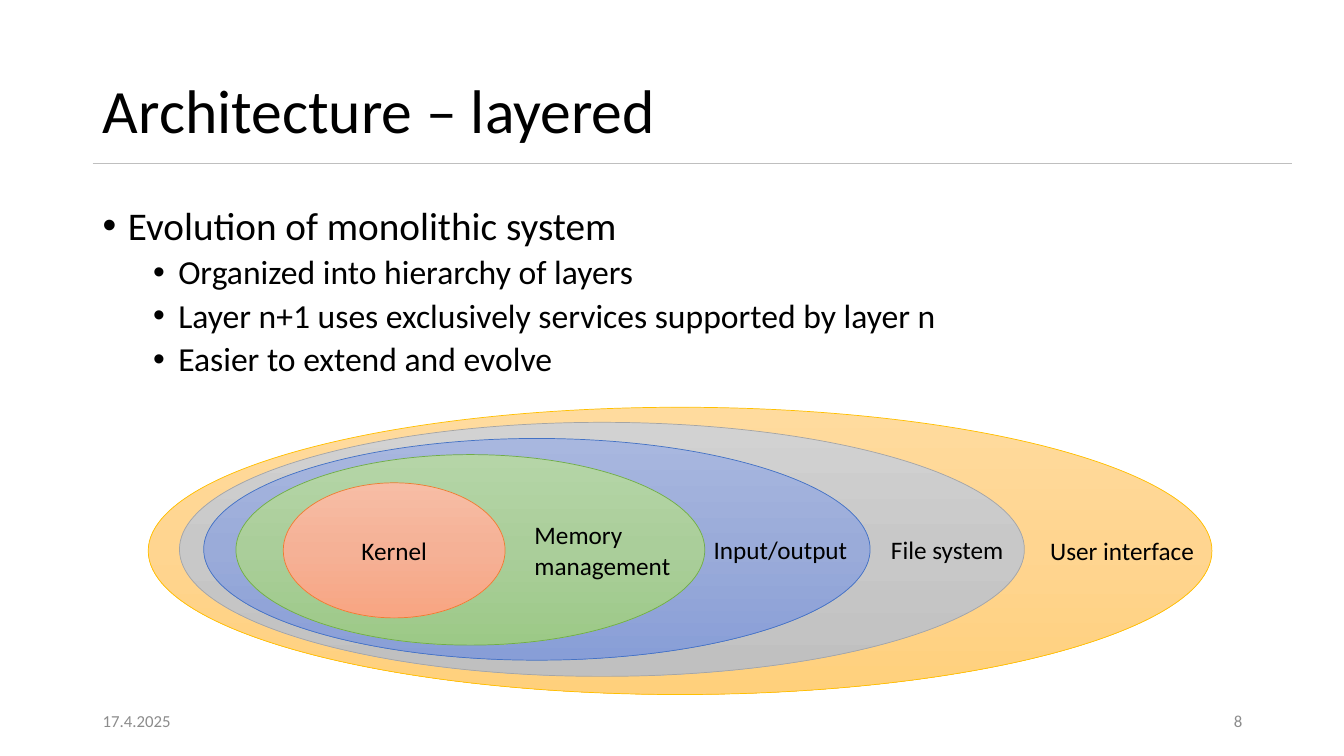
from copy import deepcopy

from pptx import Presentation
from pptx.dml.color import RGBColor
from pptx.enum.shapes import MSO_CONNECTOR as CONN, MSO_SHAPE as SHAPE
from pptx.enum.text import MSO_ANCHOR as ANCHOR, PP_ALIGN as ALIGN
from pptx.oxml.ns import qn
from pptx.util import Inches, Pt

TITLE = "Architecture – layered"
BULLETS = [  # level, text
    (0, "Evolution of monolithic system"),
    (1, "Organized into hierarchy of layers"),
    (1, "Layer n+1 uses exclusively services supported by layer n"),
    (1, "Easier to extend and evolve"),
]
LEVELS = [  # left margin, text size, space before
    (0.25, 28, 10),
    (0.75, 24, 5),
]
FOOTERS = [  # left, text, alignment
    (0.92, "17.4.2025", ALIGN.LEFT),
    (9.42, "8", ALIGN.RIGHT),
]
LAYERS = [  # label, left, top, width, height, label inset, colour
    ("User interface", 1.47, 4.04, 10.55, 2.85, 7.4, "gold"),
    ("File system", 1.78, 4.19, 8.38, 2.52, 5.83, "gray"),
    ("Input/output", 2.02, 4.35, 6.61, 2.2, 4.09, "blue"),
    ("Memory\nmanagement", 2.34, 4.51, 4.65, 1.89, 2.28, "green"),
    ("Kernel", 2.81, 4.79, 2.2, 1.34, 0, "orange"),
]
GRADIENTS = {  # top, middle, bottom
    "gold": ("FFDB9E", "FFD590", "FFD07C"),
    "gray": ("D2D2D2", "C8C8C8", "C0C0C0"),
    "blue": ("A8B7DF", "9AABD9", "889ED7"),
    "green": ("B5D5A7", "AACE9A", "9CC987"),
    "orange": ("F7BDA5", "F5B196", "F8A582"),
}
COLORS = {
    "text": "000000", "footer": "8C8C8C", "rule": "BFBFBF",
    "gold": "FFC000", "gray": "A5A5A5", "blue": "4472C4",
    "green": "70AD47", "orange": "ED7D31",
}
FONT = "Calibri"


def rgb(name):
    return RGBColor.from_string(COLORS[name])


def add_run(p, text, size, color="text"):
    r = p.add_run()
    r.text = text
    r.font.name = FONT
    r.font.size = Pt(size)
    r.font.color.rgb = rgb(color)


def add_bullet(p, margin):
    pPr = p._p.get_or_add_pPr()
    pPr.set("marL", str(Inches(margin)))
    pPr.set("indent", str(Inches(-0.25)))
    for tag, key, value in (("a:buFont", "typeface", "Arial"),
                            ("a:buChar", "char", "•")):
        pPr.append(pPr.makeelement(qn(tag), {key: value}))


def add_layer(group, label, x, y, w, h, inset, color):
    sp = group.shapes.add_shape(SHAPE.OVAL, *map(Inches, (x, y, w, h)))
    sp.shadow.inherit = False
    sp.line.color.rgb = rgb(color)
    sp.line.width = Pt(0.5)

    # Three-stop vertical gradient
    sp.fill.gradient()
    sp.fill.gradient_angle = 270
    stops = sp._element.spPr.find(".//" + qn("a:gsLst"))
    stops.insert(1, deepcopy(stops[0]))
    for i, stop in enumerate(sp.fill.gradient_stops):
        stop.position = i / 2
        stop.color.rgb = RGBColor.from_string(GRADIENTS[color][i])

    # Label, pushed past the layers inside
    tf = sp.text_frame
    tf.word_wrap = False
    tf.vertical_anchor = ANCHOR.MIDDLE
    tf.margin_left, tf.margin_right = Inches(inset), 0
    p = tf.paragraphs[0]
    p.alignment = ALIGN.LEFT if inset else ALIGN.CENTER
    for i, line in enumerate(label.split("\n")):
        if i:
            p.add_line_break()
        add_run(p, line, 18)


def main():
    prs = Presentation()
    prs.slide_width, prs.slide_height = Inches(13.33), Inches(7.5)
    s = prs.slides.add_slide(prs.slide_layouts[5])

    # Title and rule
    title = s.shapes.title
    title.left, title.top = Inches(0.92), Inches(0.4)
    title.width, title.height = Inches(10.63), Inches(1.45)
    title.text_frame.vertical_anchor = ANCHOR.MIDDLE
    p = title.text_frame.paragraphs[0]
    p.alignment = ALIGN.LEFT
    p.line_spacing = 0.9
    add_run(p, TITLE, 44)

    rule = s.shapes.add_connector(
        CONN.STRAIGHT, *map(Inches, (0.92, 1.62, 12.81, 1.62)))
    rule.line.color.rgb = rgb("rule")
    rule.line.width = Pt(1)
    spPr = rule._element.spPr
    spPr.append(spPr.makeelement(qn("a:effectLst"), {}))

    # Bullets
    body = s.shapes.add_textbox(*map(Inches, (0.92, 2, 11.5, 1.9)))
    tf = body.text_frame
    tf.word_wrap = True
    for i, (level, text) in enumerate(BULLETS):
        p = tf.add_paragraph() if i else tf.paragraphs[0]
        margin, size, before = LEVELS[level]
        add_bullet(p, margin)
        p.level = level
        p.line_spacing = 0.9
        if i:
            p.space_before = Pt(before)
        add_run(p, text, size)

    # Nested layers, outermost first
    group = s.shapes.add_group_shape()
    for layer in LAYERS:
        add_layer(group, *layer)

    # Date and slide number
    for x, text, align in FOOTERS:
        box = s.shapes.add_textbox(*map(Inches, (x, 6.95, 3, 0.4)))
        tf = box.text_frame
        tf.word_wrap = True
        tf.vertical_anchor = ANCHOR.MIDDLE
        p = tf.paragraphs[0]
        p.alignment = align
        add_run(p, text, 12, "footer")

    prs.save("out.pptx")


if __name__ == "__main__":
    main()
